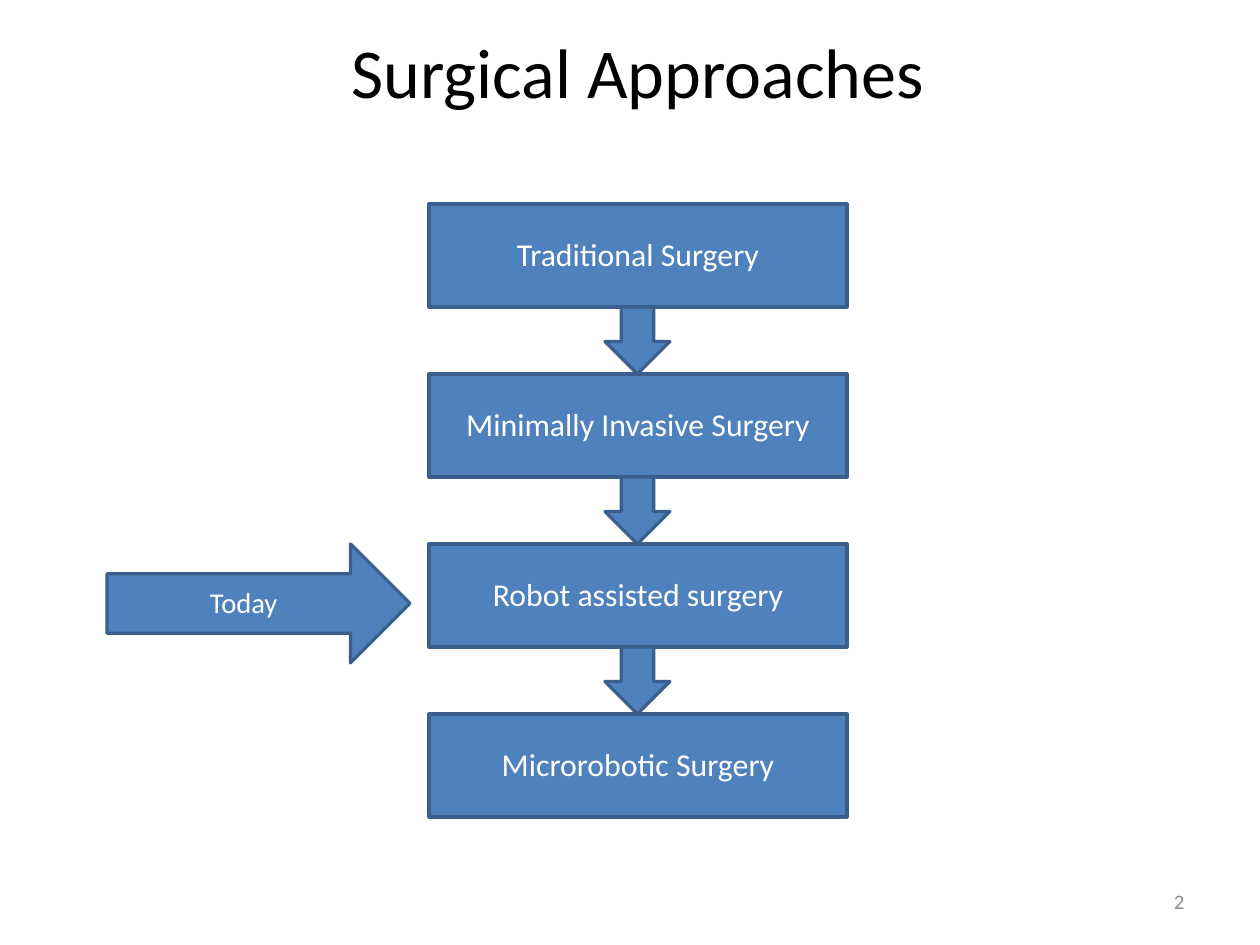
from pptx import Presentation
from pptx.dml.color import RGBColor
from pptx.enum.shapes import MSO_SHAPE
from pptx.enum.text import MSO_ANCHOR, PP_ALIGN
from pptx.util import Pt

RECT = MSO_SHAPE.RECTANGLE
RIGHT_ARROW = MSO_SHAPE.RIGHT_ARROW
DOWN_ARROW = MSO_SHAPE.DOWN_ARROW
MIDDLE = MSO_ANCHOR.MIDDLE
CENTER, RIGHT = PP_ALIGN.CENTER, PP_ALIGN.RIGHT

SCALE = 8000  # EMU per pixel
FONT = "Calibri"
COLORS = {
    "title": "000000",
    "number": "8C8C8C",
    "fill": "4F81BD",
    "line": "3A5F8C",
    "label": "FFFFFF",
}
STAGES = [
    "Traditional Surgery",
    "Minimally Invasive Surgery",
    "Robot assisted surgery",
    "Microrobotic Surgery",
]
BOX_LEFT, BOX_TOP, BOX_WIDTH, BOX_HEIGHT = 429, 204, 418, 103
STEP = 170
ARROW_WIDTH = 65
TODAY = 2  # index of the stage in use


def px(*sizes):
    """Turn pixels into EMU."""
    return [size * SCALE for size in sizes]


def color(name):
    """Look up a named colour."""
    return RGBColor.from_string(COLORS[name])


def write(shape, text, size=20, ink="label", align=CENTER, space=None):
    """Put formatted text into a shape."""
    frame = shape.text_frame
    frame.word_wrap = True
    frame.vertical_anchor = MIDDLE
    frame.margin_left = frame.margin_right = Pt(8)
    frame.margin_top = frame.margin_bottom = Pt(4)
    para = frame.paragraphs[0]
    para.alignment = align
    para.line_spacing = space
    run = para.add_run()
    run.text = text
    run.font.name = FONT
    run.font.size = Pt(size)
    run.font.color.rgb = color(ink)


def add_label(slide, text, area, **style):
    """Add a text box."""
    write(slide.shapes.add_textbox(*px(*area)), text, **style)


def add_block(slide, kind, area, text=None, **style):
    """Add a filled and outlined shape, with text if given."""
    shape = slide.shapes.add_shape(kind, *px(*area))
    shape.shadow.inherit = False
    shape.fill.solid()
    shape.fill.fore_color.rgb = color("fill")
    shape.line.color.rgb = color("line")
    shape.line.width = Pt(2)
    if text:
        write(shape, text, space=0.93, **style)


def add_flow(slide):
    """Stack the stages and join them with arrows."""
    tops = [BOX_TOP + i * STEP for i in range(len(STAGES))]
    for top, stage in zip(tops, STAGES):
        add_block(slide, RECT, (BOX_LEFT, top, BOX_WIDTH, BOX_HEIGHT), stage)
    add_block(slide, RIGHT_ARROW, (107, tops[TODAY], 303, 119), "Today", size=18)
    left = BOX_LEFT + (BOX_WIDTH - ARROW_WIDTH) // 2
    for top in tops[:-1]:
        area = (left, top + BOX_HEIGHT, ARROW_WIDTH, STEP - BOX_HEIGHT)
        add_block(slide, DOWN_ARROW, area)


def main():
    """Build and save the slide."""
    deck = Presentation()
    deck.slide_width, deck.slide_height = px(1260, 945)
    slide = deck.slides.add_slide(deck.slide_layouts[6])
    add_label(slide, "Surgical Approaches", (71, 23, 1134, 94),
              size=44.1, ink="title")
    add_label(slide, "2", (903, 876, 294, 50),
              size=13, ink="number", align=RIGHT)
    add_flow(slide)
    deck.save("out.pptx")


main()
